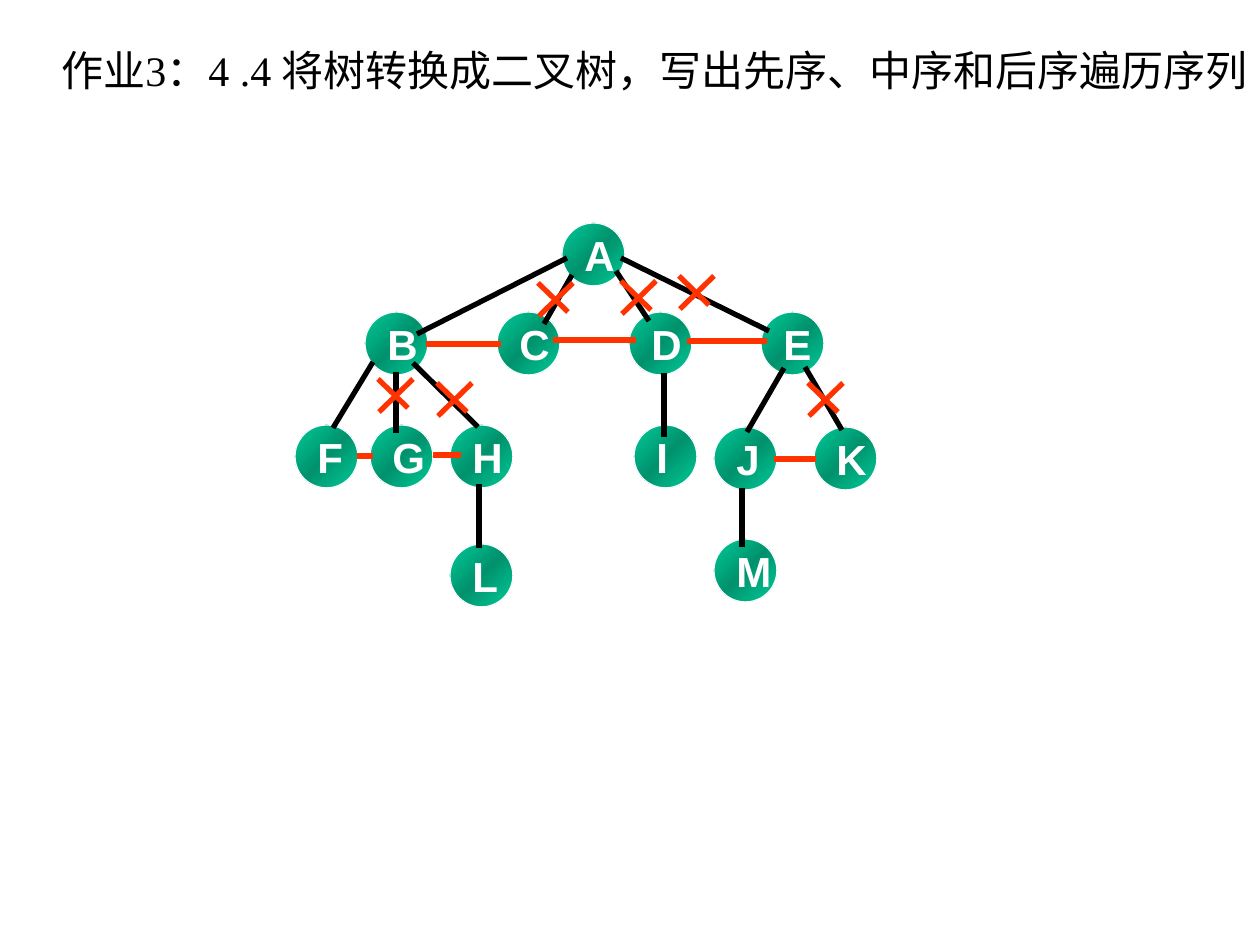
from copy import deepcopy

from lxml import etree
from pptx import Presentation
from pptx import util as u
from pptx.dml.color import RGBColor
from pptx.enum import shapes, text
from pptx.oxml.ns import qn

SCALE = 914400 / 126  # EMU in one px

BLACK = RGBColor(0x00, 0x00, 0x00)
WHITE = RGBColor(0xFF, 0xFF, 0xFF)
GREEN = RGBColor(0x00, 0xCC, 0x99)
DARK_GREEN = RGBColor(0x00, 0x92, 0x6D)
RED = RGBColor(0xFF, 0x33, 0x00)

TITLE = "作业3：4 .4 将树转换成二叉树，写出先序、中序和后序遍历序列"
NODE_SIZE = 63
LABEL_INDENT = 10
CHILD_LEFT, CHILD_STEP, CHILD_TOP = 365, 132, 312

# letter, left, top, label width
NODES = [
    ("A", 562, 223, 55),
    *((letter, CHILD_LEFT + i * CHILD_STEP, CHILD_TOP, 55)
      for i, letter in enumerate("BCDE")),
    ("F", 295, 425, 50),
    ("G", 370, 425, 58),
    ("H", 450, 425, 55),
    ("I", 634, 425, 37),
    ("J", 714, 427, 49),
    ("K", 814, 427, 55),
    ("L", 450, 544, 50),
    ("M", 714, 539, 60),
]

# parent end x, y, child end x, y
BRANCHES = [
    (567, 258, 417, 334),  # A-B
    (572, 275, 544, 324),  # A-C
    (616, 271, 649, 321),  # A-D
    (621, 258, 769, 331),  # A-E
    (373, 362, 333, 428),  # B-F
    (396, 372, 396, 433),  # B-G
    (413, 363, 478, 427),  # B-H
    (479, 484, 479, 548),  # H-L
    (664, 373, 664, 437),  # D-I
    (742, 488, 742, 547),  # J-M
    (784, 368, 747, 432),  # E-J
    (805, 367, 842, 430),  # E-K
]

# left, right, y
SIBLING_LINKS = [
    (426, 501, 344), (553, 636, 340), (687, 767, 341),
    (357, 373, 456), (433, 461, 455), (774, 816, 459),
]

# left, top
CUTS = [(538, 283), (621, 281), (679, 276), (808, 383), (437, 383), (378, 379)]


def px(length):
    return u.Emu(round(length * SCALE))


class TreePage:
    """Style and current slide; each method draws one kind of element."""

    size = u.Pt(24)
    thick = u.Pt(3)
    thin = u.Pt(0.75)

    def __init__(self, page):
        self.page = page

    def group(self):
        return self.page.shapes.add_group_shape().shapes

    def words(self, target, content, place, font, color, bold=False, wrap=False):
        box = target.add_textbox(*map(px, place))
        frame = box.text_frame
        frame.word_wrap = wrap
        frame.auto_size = text.MSO_AUTO_SIZE.SHAPE_TO_FIT_TEXT
        para = frame.paragraphs[0]
        para.text = content
        para.font.name = font
        para.font.size = self.size
        para.font.bold = bold
        para.font.color.rgb = color

    def node(self, target, letter, left, top, label_width):
        ball = target.add_shape(shapes.MSO_SHAPE.OVAL, px(left), px(top),
                                px(NODE_SIZE), px(NODE_SIZE))
        ball.shadow.inherit = False
        ball.line.color.rgb = WHITE
        ball.line.width = self.thin
        self.shade(ball)
        self.words(target, letter,
                   (left + LABEL_INDENT, top, label_width, NODE_SIZE),
                   "Arial", WHITE, bold=True)

    def shade(self, ball):
        """Fill with a diagonal gradient that is dark in the middle."""
        ball.fill.gradient()
        ball.fill.gradient_angle = 315
        stops = ball._element.spPr.find(".//" + qn("a:gsLst"))
        stops.append(deepcopy(stops[-1]))
        for stop, position, color in zip(ball.fill.gradient_stops, (0, 0.5, 1),
                                         (GREEN, DARK_GREEN, GREEN)):
            stop.position = position
            stop.color.rgb = color

    def line(self, target, ends, color):
        stroke = target.add_connector(shapes.MSO_CONNECTOR.STRAIGHT, *map(px, ends))
        stroke.line.color.rgb = color
        stroke.line.width = self.thick
        etree.SubElement(stroke._element.spPr, qn("a:effectLst"))

    def cross(self, left, top):
        target = self.group()
        self.line(target, (left + 35, top, left + 1, top + 33), RED)
        self.line(target, (left, top, left + 30, top + 29), RED)


def main():
    deck = Presentation()
    deck.slide_width, deck.slide_height = u.Inches(10), u.Inches(7.5)
    page = deck.slides.add_slide(deck.slide_layouts[6])
    draw = TreePage(page)

    draw.words(page.shapes, TITLE, (49, 38, 1212, 63),
               "Times New Roman", BLACK, wrap=True)
    tree = draw.group()
    for node in NODES:
        draw.node(tree, *node)
    for branch in BRANCHES:
        draw.line(tree, branch, BLACK)
    for left, right, y in SIBLING_LINKS:
        draw.line(page.shapes, (left, y, right, y), RED)
    for cut in CUTS:
        draw.cross(*cut)

    deck.save("out.pptx")


if __name__ == "__main__":
    main()
